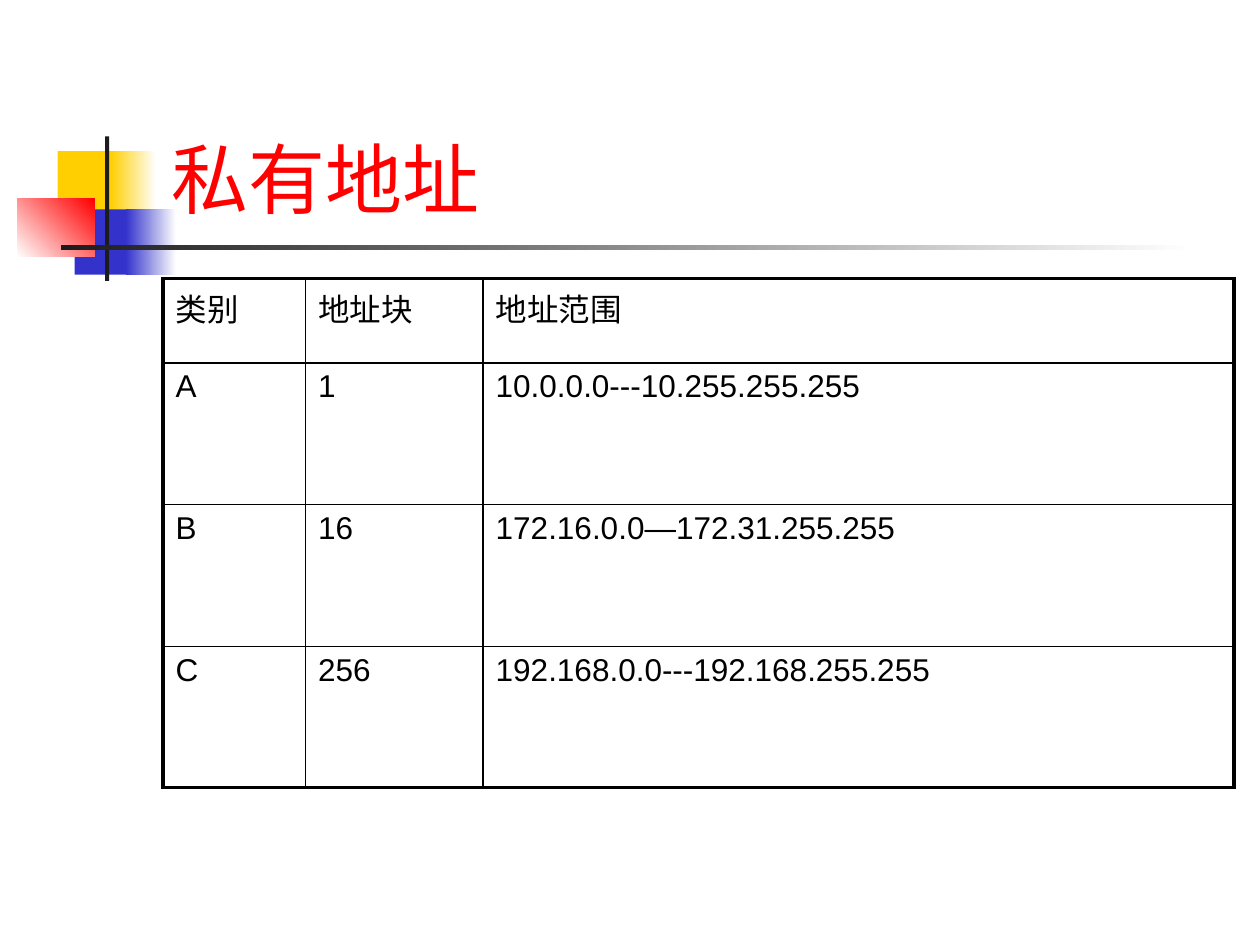
from lxml import etree
from pptx import Presentation
from pptx import util as u
from pptx.dml.color import RGBColor
from pptx.enum import shapes, text
from pptx.oxml.ns import qn

TITLE = "私有地址"
ROWS = [
    ("类别", "地址块", "地址范围"),
    ("A", "1", "10.0.0.0---10.255.255.255"),
    ("B", "16", "172.16.0.0—172.31.255.255"),
    ("C", "256", "192.168.0.0---192.168.255.255"),
]
COLUMN_WIDTHS = (81.4, 101.5, 429.1)
ROW_HEIGHTS = (48.2, 80.8, 81.2, 80.8)
THICK, THIN = 2.25, 1
BLACK, WHITE, RED = "000000", "FFFFFF", "FF0000"
YELLOW, BLUE, CHARCOAL = "FFCF01", "3333CC", "1C1C1C"

DECORATIONS = [
    ((33, 86.4, 34.6, 37.4), (YELLOW,), 0),
    ((63.2, 86.4, 26, 37.4), (YELLOW, WHITE), 0),
    ((42.6, 119.6, 33.2, 37.4), (BLUE,), 0),
    ((72, 119.6, 28.6, 37.4), (BLUE, WHITE), 0),
    ((9.8, 113.6, 44.2, 33.2), (WHITE, RED), 45),
    ((60, 78, 2.4, 82.6), (CHARCOAL,), 0),
    ((34.8, 140.2, 648, 2.4), (CHARCOAL, WHITE), 0),
]


def color(value):
    return RGBColor.from_string(value)


def add_decoration(slide, box, colors, angle):
    shape = slide.shapes.add_shape(shapes.MSO_SHAPE.RECTANGLE, *map(u.Pt, box))
    shape.shadow.inherit = False
    shape.line.fill.background()
    if len(colors) == 1:
        shape.fill.solid()
        shape.fill.fore_color.rgb = color(colors[0])
        return
    shape.fill.gradient()
    shape.fill.gradient_angle = angle
    for stop, value in zip(shape.fill.gradient_stops, colors):
        stop.color.rgb = color(value)


def add_run(paragraph, words, size, font, value):
    run = paragraph.add_run()
    run.text = words
    run.font.size = u.Pt(size)
    run.font.name = font
    run.font.color.rgb = color(value)


def format_title(title):
    title.left, title.top, title.width, title.height = map(u.Pt, (90.7, 16.6, 613.4, 115.2))
    frame = title.text_frame
    frame.word_wrap = True
    frame.vertical_anchor = text.MSO_ANCHOR.BOTTOM
    paragraph = frame.paragraphs[0]
    paragraph.alignment = text.PP_ALIGN.LEFT
    add_run(paragraph, TITLE, 44, "Noto Sans", RED)


def set_borders(cell, widths):
    properties = cell._tc.get_or_add_tcPr()
    for index, (side, width) in enumerate(widths):
        line = etree.Element(qn(f"a:ln{side}"), w=str(u.Pt(width)))
        fill = etree.SubElement(line, qn("a:solidFill"))
        etree.SubElement(fill, qn("a:srgbClr"), val=BLACK)
        properties.insert(index, line)


def add_address_table(slide):
    row_count, column_count = len(ROWS), len(COLUMN_WIDTHS)
    frame = slide.shapes.add_table(
        row_count, column_count, u.Pt(93.2), u.Pt(159.2),
        u.Pt(sum(COLUMN_WIDTHS)), u.Pt(sum(ROW_HEIGHTS)))
    table = frame.table
    table.first_row = table.horz_banding = False
    for column, width in zip(table.columns, COLUMN_WIDTHS):
        column.width = u.Pt(width)
    for row, height in zip(table.rows, ROW_HEIGHTS):
        row.height = u.Pt(height)
    for r, row in enumerate(ROWS):
        for c, words in enumerate(row):
            cell = table.cell(r, c)
            cell.fill.background()
            add_run(cell.text_frame.paragraphs[0], words, 18, "Arial", BLACK)
            on_edge = [("L", c == 0), ("R", c == column_count - 1),
                       ("T", r == 0), ("B", r == row_count - 1)]
            set_borders(cell, [(side, THICK if edge else THIN) for side, edge in on_edge])


def main():
    presentation = Presentation()
    presentation.slide_width, presentation.slide_height = u.Pt(720), u.Pt(540)
    slide = presentation.slides.add_slide(presentation.slide_layouts[5])
    for box, colors, angle in DECORATIONS:
        add_decoration(slide, box, colors, angle)
    title = slide.shapes.title
    title.element.getparent().append(title.element)
    format_title(title)
    add_address_table(slide)
    presentation.save("out.pptx")


if __name__ == "__main__":
    main()
